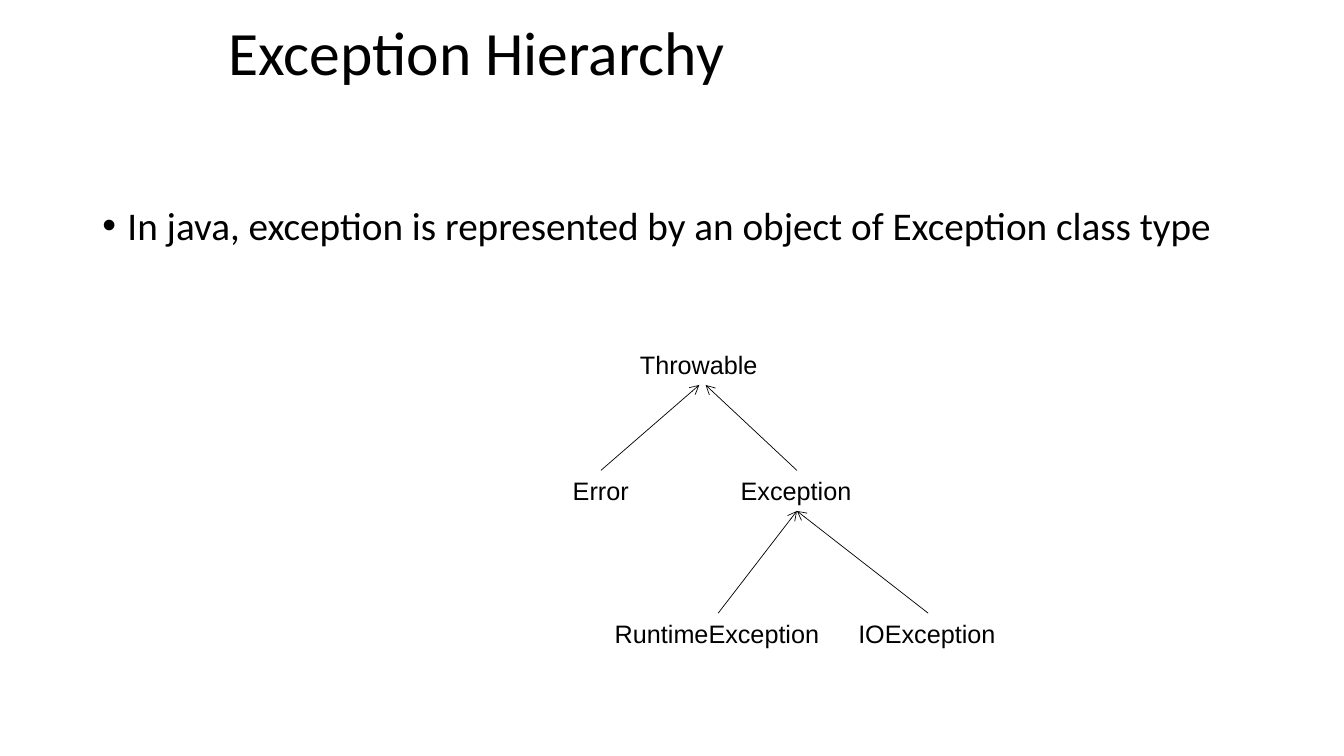
import pptx
import pptx.dml.color
import pptx.enum.shapes
import pptx.enum.text
import pptx.oxml.xmlchemy
import pptx.util

Pt = pptx.util.Pt
BLACK = pptx.dml.color.RGBColor(0x00, 0x00, 0x00)
WHITE = pptx.dml.color.RGBColor(0xFF, 0xFF, 0xFF)
ANCHOR = pptx.enum.text.MSO_ANCHOR
TOP_SIDE, BOTTOM_SIDE = 0, 2

TITLE_BOX = (156, 12, 648, 56)
BODY_BOX = (66, 144, 828, 343)
TREE_BOX = (402, 246, 318, 221)

TITLE_FONT = {"name": "Calibri", "size": Pt(44)}
BODY_FONT = {"name": "Calibri", "size": Pt(28)}
CLASS_FONT = {"name": "Arial", "size": Pt(18)}

CLASS_HEIGHT = 29
CLASSES = {
    "Throwable": (48, 0, 99),
    "Error": (0, 90, 54.5),
    "Exception": (120, 90, 94.5),
    "RuntimeException": (30, 192, 162),
    "IOException": (204, 192, 114),
}
PARENTS = [
    ("Error", "Throwable", 0),
    ("Exception", "Throwable", 4.5),
    ("RuntimeException", "Exception", 0),
    ("IOException", "Exception", 0),
]


def set_values(target, values):
    """Set every attribute named in the values on the target."""
    for name, value in values.items():
        setattr(target, name, value)


def add_element(parent, tag, values):
    """Append an XML element with the given attributes to the parent."""
    element = pptx.oxml.xmlchemy.OxmlElement(tag)
    for name, value in values.items():
        element.set(name, value)
    parent.append(element)


def add_text(page, box, text, font, frame_values, para_values):
    """Place one paragraph of text in the box and return its shape."""
    shape = page.shapes.add_textbox(*map(Pt, box))
    set_values(shape.text_frame, frame_values)
    para = shape.text_frame.paragraphs[0]
    set_values(para, para_values)
    span = para.add_run()
    span.text = text
    set_values(span.font, font)
    span.font.color.rgb = BLACK
    return shape


def add_title(page, box):
    """Place the slide title."""
    add_text(page, box, "Exception Hierarchy", TITLE_FONT,
             {"word_wrap": True, "vertical_anchor": ANCHOR.MIDDLE},
             {"line_spacing": 0.9})


def add_body(page, box):
    """Place the bulleted statement."""
    text = "In java, exception is represented by an object of Exception class type"
    shape = add_text(page, box, text, BODY_FONT,
                     {"word_wrap": True, "vertical_anchor": ANCHOR.TOP},
                     {"line_spacing": 0.9, "space_before": Pt(10)})
    properties = shape.text_frame.paragraphs[0]._p.get_or_add_pPr()
    properties.set("marL", str(int(Pt(18))))
    properties.set("indent", str(-int(Pt(18))))
    add_element(properties, "a:buFont", {"typeface": "Arial"})
    add_element(properties, "a:buChar", {"char": "•"})


def add_arrow(page, child, parent, shift):
    """Draw an arrow from the child's top to the parent's bottom, moved right by the shift."""
    end_x = parent.left + parent.width // 2 + Pt(shift)
    end_y = parent.top + parent.height
    arrow = page.shapes.add_connector(
        pptx.enum.shapes.MSO_CONNECTOR.STRAIGHT,
        child.left + child.width // 2, child.top, end_x, end_y)
    arrow.begin_connect(child, TOP_SIDE)
    if not shift:
        arrow.end_connect(parent, BOTTOM_SIDE)
    arrow.line.color.rgb = BLACK
    arrow.line.width = Pt(0.5)
    properties = arrow._element.spPr
    add_element(properties.get_or_add_ln(), "a:tailEnd", {"type": "arrow"})
    add_element(properties, "a:effectLst", {})


def add_tree(page, box):
    """Place the class names and the arrows to their parents."""
    left, top = box[:2]
    frame_values = {"word_wrap": False,
                    "auto_size": pptx.enum.text.MSO_AUTO_SIZE.SHAPE_TO_FIT_TEXT}
    labels = {
        name: add_text(page, (left + x, top + y, width, CLASS_HEIGHT), name,
                       CLASS_FONT, frame_values, {})
        for name, (x, y, width) in CLASSES.items()
    }
    for child, parent, shift in PARENTS:
        add_arrow(page, labels[child], labels[parent], shift)


def main():
    """Build the slide and save the deck."""
    deck = pptx.Presentation()
    set_values(deck, {"slide_width": Pt(960), "slide_height": Pt(540)})
    page = deck.slides.add_slide(deck.slide_layouts[6])
    page.background.fill.solid()
    page.background.fill.fore_color.rgb = WHITE
    add_title(page, TITLE_BOX)
    add_body(page, BODY_BOX)
    add_tree(page, TREE_BOX)
    deck.save("out.pptx")


if __name__ == "__main__":
    main()
